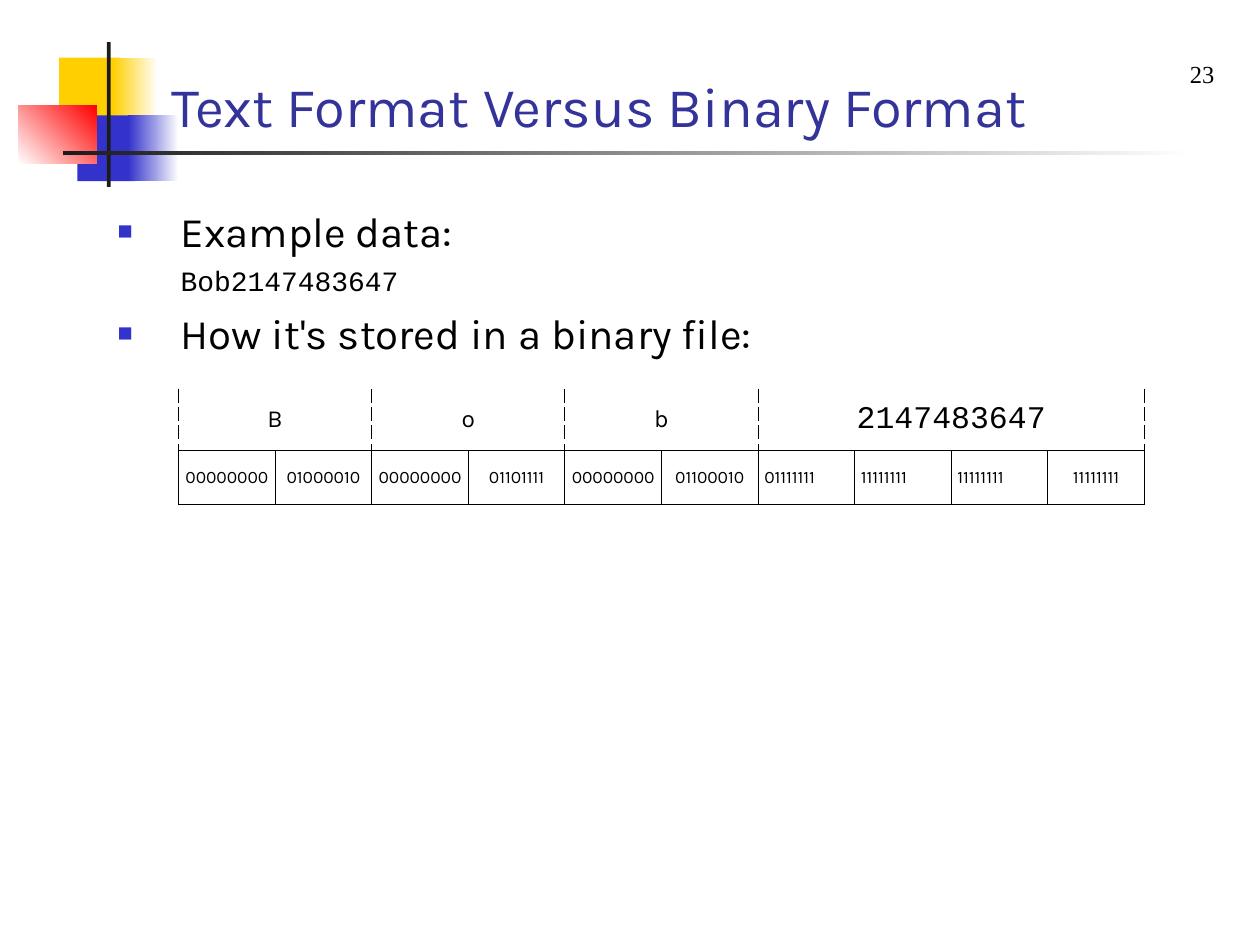
from lxml.etree import SubElement
from pptx import Presentation
from pptx.dml.color import RGBColor
from pptx.enum.shapes import MSO_SHAPE
from pptx.enum.text import MSO_ANCHOR, MSO_AUTO_SIZE, PP_ALIGN
from pptx.oxml.ns import qn
from pptx.util import Pt

HUES = {
    "gold": "FFCF01", "blue": "3333CC", "red": "FF0000", "dark": "1C1C1C",
    "white": "FFFFFF", "title": "333399", "black": "000000",
}
SANS, MONO, SERIF = "Karla", "Courier New", "Times New Roman"


def hue(name):
    return RGBColor.from_string(HUES[name])


def put(shape, box):
    shape.left, shape.top, shape.width, shape.height = map(Pt, box)


def style(para, face, size, color="black", align=PP_ALIGN.LEFT):
    para.alignment = align
    font = para.font
    font.name, font.size, font.bold = face, Pt(size), False
    font.color.rgb = hue(color)


def node(parent, tag, **attrs):
    return SubElement(parent, qn("a:" + tag), attrs)


def block(slide, box, start, end=None, angle=0):
    """Plain rectangle, or one that fades from start to end."""
    shape = slide.shapes.add_shape(MSO_SHAPE.RECTANGLE, *map(Pt, box))
    shape.shadow.inherit = False
    shape.line.fill.background()
    if end is None:
        shape.fill.solid()
        shape.fill.fore_color.rgb = hue(start)
        return
    shape.fill.gradient()
    shape.fill.gradient_angle = angle
    for stop, name in zip(shape.fill.gradient_stops, (start, end)):
        stop.color.rgb = hue(name)


def emblem(slide, box):
    """Coloured squares crossed by a dark bar and a fading rule."""
    x, y, wide, high = box
    block(slide, (x + 22.5, y + 9, 35, 37.5), "gold")
    block(slide, (x + 53, y + 9, 26, 37.5), "gold", "white")
    block(slide, (x + 33, y + 42, 33, 37.5), "blue")
    block(slide, (x + 62, y + 42, 29, 37.5), "blue", "white")
    block(slide, (x - 0.5, y + 36.3, 44.5, 33.3), "white", "red", 45)
    block(slide, (x + 49.75, y, 2.25, high), "dark")
    block(slide, (x + 24.75, y + 62.4, wide - 24.75, 2.2), "dark", "white")


def heading(slide, box, text):
    title = slide.shapes.title
    put(title, box)
    frame = title.text_frame
    frame.text = text
    frame.auto_size = MSO_AUTO_SIZE.NONE
    frame.vertical_anchor = MSO_ANCHOR.BOTTOM
    style(frame.paragraphs[0], SANS, 32, "title")


def points(slide, box, items):
    """Body list: level 0 has square bullets, level 1 is plain code."""
    body = slide.placeholders[1]
    put(body, box)
    frame = body.text_frame
    frame.auto_size = MSO_AUTO_SIZE.NONE
    for i, (level, text) in enumerate(items):
        para = frame.add_paragraph() if i else frame.paragraphs[0]
        para.text, para.level = text, level
        para.space_before = Pt((6, 4)[level] if i else 0)
        props = para._p.get_or_add_pPr()
        left, hang = ((36, 36), (66, 30))[level]
        props.set("marL", str(Pt(left)))
        props.set("indent", str(-Pt(hang)))
        if level:
            node(props, "buNone")
            style(para, MONO, 16)
        else:
            node(node(props, "buClr"), "srgbClr", val=HUES["blue"])
            node(props, "buSzPct", val="60000")
            node(props, "buChar", char="■")
            style(para, SANS, 24)


def edge(cell, side, dash="solid"):
    """Cell border on side L, R, T or B; dash None hides it."""
    line = node(cell._tc.get_or_add_tcPr(), "ln" + side, w=str(Pt(0.45)))
    if dash is None:
        node(line, "noFill")
        return
    node(node(line, "solidFill"), "srgbClr", val=HUES["black"])
    node(line, "prstDash", val=dash)


def fill(cell, text, face, size, align=PP_ALIGN.CENTER):
    cell.text = text
    cell.vertical_anchor = MSO_ANCHOR.MIDDLE
    cell.margin_left = cell.margin_right = Pt(3.6)
    cell.margin_top = cell.margin_bottom = Pt(3.6)
    style(cell.text_frame.paragraphs[0], face, size, align=align)


def memory(slide, box, groups, octets):
    """Values on top, the bytes that hold them below."""
    x, y, wide, high = box
    count = len(octets)
    table = slide.shapes.add_table(2, count, *map(Pt, box)).table
    table.first_row = table.horz_banding = False
    for col in table.columns:
        col.width = Pt(wide / count)
    table.rows[0].height, table.rows[1].height = Pt(35.6), Pt(high - 35.6)

    for row, (dash, top) in enumerate((("dash", None), ("solid", "solid"))):
        for cell in table.rows[row].cells:
            for side, kind in zip("LRTB", (dash, dash, top, "solid")):
                edge(cell, side, kind)
            cell.fill.background()

    start = 0
    for text, span, face, size in groups:
        cell = table.cell(0, start)
        cell.merge(table.cell(0, start + span - 1))
        fill(cell, text, face, size)
        start += span

    for i, text in enumerate(octets):
        align = PP_ALIGN.LEFT if i in (6, 7, 8) else PP_ALIGN.CENTER
        fill(table.cell(1, i), text, SANS, 10, align)


def number(slide, box, text):
    frame = slide.shapes.add_textbox(*map(Pt, box)).text_frame
    frame.word_wrap = True
    frame.text = text
    style(frame.paragraphs[0], SERIF, 14, align=PP_ALIGN.CENTER)


def main():
    deck = Presentation()
    deck.slide_width, deck.slide_height = Pt(720), Pt(540)
    slide = deck.slides.add_slide(deck.slide_layouts[1])

    emblem(slide, (11.25, 24, 672.75, 82.75))
    heading(slide, (90.75, 24, 557.25, 59), "Text Format Versus Binary Format")
    points(slide, (60, 114, 612, 396), [
        (0, "Example data:"),
        (1, "Bob2147483647"),
        (0, "How it's stored in a binary file:"),
    ])
    groups = [(letter, 2, SANS, 14) for letter in "Bob"]
    groups.append(("2147483647", 4, MONO, 18))
    memory(slide, (102, 222, 552, 66), groups, [
        "00000000", "01000010", "00000000", "01101111", "00000000",
        "01100010", "01111111", "11111111", "11111111", "11111111",
    ])
    number(slide, (672, 30, 30, 24), "23")
    deck.save("out.pptx")


if __name__ == "__main__":
    main()
